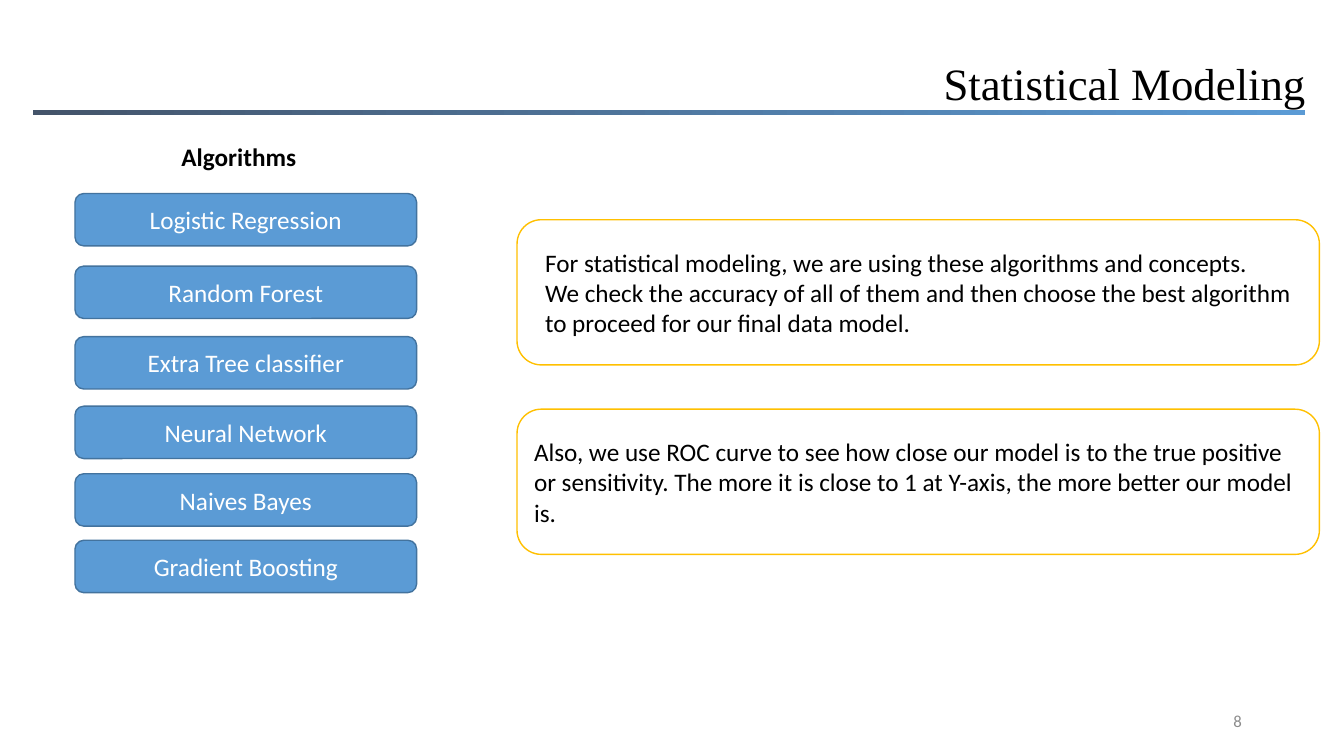
"""Build the Statistical Modeling slide."""
from dataclasses import dataclass
from typing import Any

from pptx import Presentation
from pptx.dml.color import RGBColor as Rgb
from pptx.enum.shapes import MSO_SHAPE as Preset
from pptx.enum.text import MSO_ANCHOR as Anchor
from pptx.enum.text import MSO_AUTO_SIZE as AutoSize
from pptx.enum.text import PP_ALIGN as Align
from pptx.util import Inches, Pt

COLORS = {
    "ink": "000000",
    "paper": "FFFFFF",
    "blue": "5B9BD5",
    "navy": "44546A",
    "edge": "43739E",
    "gold": "FFC000",
    "gray": "8C8C8C",
}
BODY: dict[str, Any] = {"name": "Calibri", "size": Pt(18), "bold": False}
HEADING = BODY | {"bold": True}
NUMBER = BODY | {"size": Pt(12)}
TITLE = BODY | {"name": "Times New Roman", "size": Pt(32)}


@dataclass(frozen=True)
class Area:
    """Place on the slide, in percent of its width and height."""

    left: float
    top: float
    width: float
    height: float


@dataclass(frozen=True)
class Copy:
    """Lines of text with their format."""

    lines: tuple[str, ...]
    font: dict[str, Any]
    color: str = "ink"
    align: Align = Align.LEFT
    anchor: Anchor = Anchor.TOP
    wrap: bool = True


@dataclass(frozen=True)
class Panel:
    """Rounded box with a fill and an outline."""

    area: Area
    fill: str
    line: str
    copy: Copy | None = None


ALGORITHMS = {
    "Logistic Regression": 25.6,
    "Random Forest": 35.2,
    "Extra Tree classifier": 44.53,
    "Neural Network": 53.73,
    "Naives Bayes": 62.67,
    "Gradient Boosting": 71.47,
}
ROC_NOTE = Copy(
    ("Also, we use ROC curve to see how close our model is to the true positive "
     "or sensitivity. The more it is close to 1 at Y-axis, the more better our model is.",),
    BODY, anchor=Anchor.MIDDLE,
)
CARDS = [
    Panel(Area(38.47, top, 59.7, 19.2), "paper", "gold", copy)
    for top, copy in ((29.07, None), (54.13, ROC_NOTE))
]
BUTTONS = [
    Panel(Area(5.58, top, 25.42, 6.93), "blue", "edge",
          Copy((name,), BODY, "paper", Align.CENTER, Anchor.MIDDLE))
    for name, top in ALGORITHMS.items()
]
TEXTS = [
    (Area(6.97, 18, 21.6, 5.33), Copy(("Algorithms",), HEADING, align=Align.CENTER)),
    (Area(39.82, 32, 58.8, 13.47), Copy((
        "For statistical modeling, we are using these algorithms and concepts.",
        "We check the accuracy of all of them and then choose the best algorithm",
        "to proceed for our final data model.",
    ), BODY)),
    (Area(70.65, 92.67, 22.5, 5.33),
     Copy(("8",), NUMBER, "gray", Align.RIGHT, Anchor.MIDDLE)),
]

deck = Presentation()
deck.slide_width, deck.slide_height = Inches(13.33), Inches(7.5)
slide = deck.slides.add_slide(deck.slide_layouts[5])


def rgb(name: str) -> Rgb:
    return Rgb.from_string(COLORS[name])


def place(area: Area) -> dict[str, int]:
    return {
        "left": round(deck.slide_width * area.left / 100),
        "top": round(deck.slide_height * area.top / 100),
        "width": round(deck.slide_width * area.width / 100),
        "height": round(deck.slide_height * area.height / 100),
    }


def apply(target: Any, values: dict[str, Any]) -> None:
    for key, value in values.items():
        setattr(target, key, value)


def write(box: Any, copy: Copy) -> None:
    frame = box.text_frame
    apply(frame, {"auto_size": AutoSize.NONE, "word_wrap": copy.wrap,
                  "vertical_anchor": copy.anchor})
    for index, line in enumerate(copy.lines):
        para = frame.add_paragraph() if index else frame.paragraphs[0]
        para.alignment = copy.align
        span = para.add_run()
        span.text = line
        apply(span.font, copy.font)
        span.font.color.rgb = rgb(copy.color)


def draw_rule(area: Area) -> None:
    rule = slide.shapes.add_shape(Preset.RECTANGLE, **place(area))
    rule.shadow.inherit = False
    rule.line.fill.background()
    rule.fill.gradient()
    rule.fill.gradient_angle = 0
    for stop, color in zip(rule.fill.gradient_stops, ("navy", "blue")):
        stop.color.rgb = rgb(color)


def draw_panel(panel: Panel) -> None:
    box = slide.shapes.add_shape(Preset.ROUNDED_RECTANGLE, **place(panel.area))
    box.shadow.inherit = False
    box.fill.solid()
    box.fill.fore_color.rgb = rgb(panel.fill)
    box.line.color.rgb = rgb(panel.line)
    box.line.width = Pt(1)
    if panel.copy:
        write(box, panel.copy)


def main() -> None:
    draw_rule(Area(2.47, 14.6, 94.6, 0.67))
    title = slide.shapes.title
    apply(title, place(Area(69.45, 6.67, 28.73, 8.53)))
    write(title, Copy(("Statistical Modeling",), TITLE, wrap=False))
    for panel in CARDS + BUTTONS:
        draw_panel(panel)
    for area, copy in TEXTS:
        write(slide.shapes.add_textbox(**place(area)), copy)
    deck.save("out.pptx")


if __name__ == "__main__":
    main()
